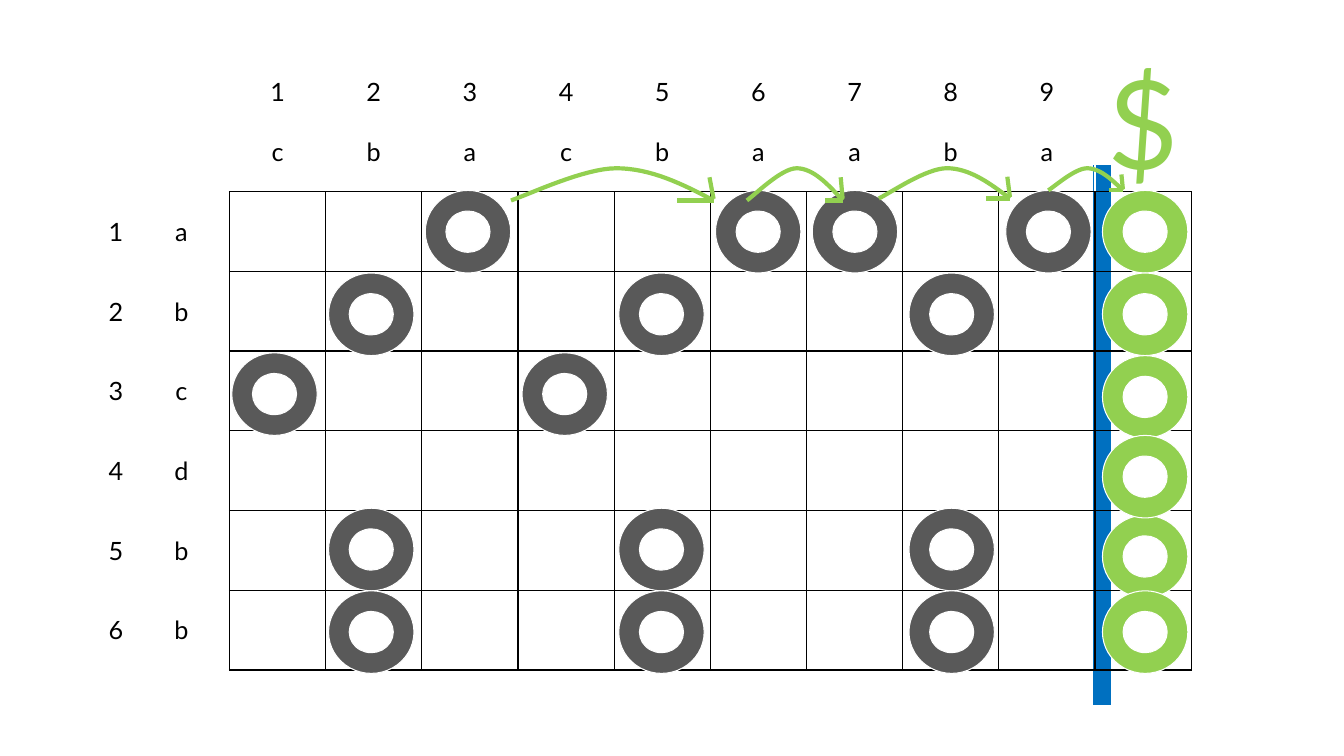
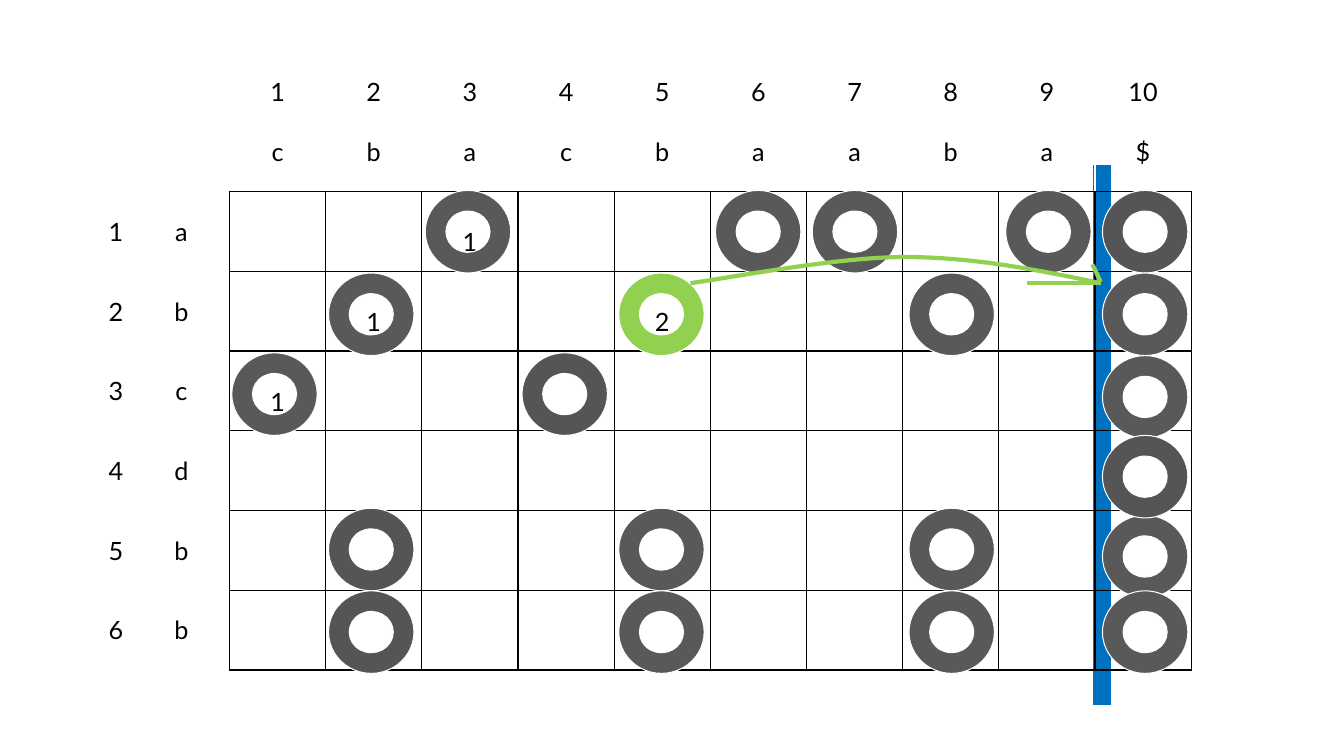
from lxml import etree
from pptx import Presentation
from pptx.dml.color import RGBColor
from pptx.enum.shapes import MSO_CONNECTOR, MSO_SHAPE
from pptx.enum.text import MSO_ANCHOR, PP_ALIGN
from pptx.oxml.ns import qn
from pptx.util import Pt

CENTER, RIGHT = PP_ALIGN.CENTER, PP_ALIGN.RIGHT
TOP, MIDDLE, BOTTOM = MSO_ANCHOR.TOP, MSO_ANCHOR.MIDDLE, MSO_ANCHOR.BOTTOM
DONUT, MINUS = MSO_SHAPE.DONUT, MSO_SHAPE.MATH_MINUS
STRAIGHT = MSO_CONNECTOR.STRAIGHT

FONT = "Lato"
COLORS = {
    "black": "000000",
    "white": "FFFFFF",
    "grey": "595959",
    "dark": "555555",
    "green": "92D050",
    "blue": "0070C0",
}

COLUMN_LETTERS = "cbacbaaba"
ROW_LETTERS = "abcdbb"
END_COLUMN = len(COLUMN_LETTERS) + 1
ROW_DRAW_ORDER = (1, 2, 3, 5, 4, 6)

SLIDES = [
    {
        "end_header": ("", ""),
        "big_end_sign": "$",
        "counts": {},
        "ring_colors": {(row, END_COLUMN): "green" for row in ROW_DRAW_ORDER},
        "jumps": [
            (365, 120.2, 144.7, 23),
            (627.8, 120.2, 93.6, 21.6),
            (533.5, 120.2, 68.4, 23),
            (748.8, 120.2, 53.3, 15.8),
        ],
    },
    {
        "end_header": (str(END_COLUMN), "$"),
        "big_end_sign": "",
        "counts": {(1, 3): "1", (2, 2): "1", (2, 5): "2", (3, 1): "1"},
        "ring_colors": {
            (2, 5): "green",
            **dict.fromkeys([(1, 10), (3, 4), (4, 10), (5, 2), (6, 2)], "dark"),
        },
        "jumps": [(493.2, 183.6, 293, 18.7)],
    },
]

TABLE_LEFT, TABLE_TOP = 26.6, 23
COLUMN_WIDTH, ROW_HEIGHT = 68.7, 56.95
HEADERS = 2
RING_WIDTH, RING_HEIGHT = 61, 59
RING_LEFT, RING_STEP = 165.6, 69.1
RING_TOPS = (136, 195, 252, 309, 363, 422)
END_RING_TOPS = (136, 195, 254, 311, 368, 422)

JUMP_CURVES = [
    [(1, 1), (0.85, 0.5), (0.69, 0), (0.52, 0)],
    [(0.52, 0), (0.36, 0), (0.09, 0.81), (0, 1)],
]
JUMP_HEAD = [((0.98, 0.28), (1, 0.95)), ((1, 1), (0.82, 1))]
CURVE_STEPS = 16


def color(name):
    return RGBColor.from_string(COLORS[name])


def format_text(paragraph, size, color_name, align):
    paragraph.alignment = align
    for run in paragraph.runs:
        run.font.name = FONT
        run.font.size = Pt(size)
        run.font.color.rgb = color(color_name)


def set_borders(cell, row, column):
    in_grid = row >= HEADERS and column >= HEADERS
    edges = {side: "black" if in_grid else "white" for side in "LRTB"}
    if row == HEADERS - 1 and column >= HEADERS:
        edges["B"] = "black"
    if column == HEADERS - 1 and row >= HEADERS:
        edges["R"] = "black"
    properties = cell._tc.get_or_add_tcPr()
    for side, name in edges.items():
        edge = etree.SubElement(properties, qn(f"a:ln{side}"), w=str(Pt(1)))
        fill = etree.SubElement(edge, qn("a:solidFill"))
        etree.SubElement(fill, qn("a:srgbClr"), val=COLORS[name])


def cell_texts(content):
    texts = {}
    headers = [(str(i), letter) for i, letter in enumerate(COLUMN_LETTERS, 1)]
    for column, (number, letter) in enumerate(headers + [content["end_header"]], HEADERS):
        texts[0, column] = (number, CENTER, BOTTOM)
        texts[1, column] = (letter, CENTER, MIDDLE)
    for row, letter in enumerate(ROW_LETTERS, HEADERS):
        texts[row, 0] = (str(row - HEADERS + 1), RIGHT, MIDDLE)
        texts[row, 1] = (letter, CENTER, MIDDLE)
    for (row, column), count in content["counts"].items():
        texts[row + HEADERS - 1, column + HEADERS - 1] = (count, CENTER, TOP)
    return texts


def add_matrix(slide, content):
    rows, columns = len(ROW_LETTERS) + HEADERS, END_COLUMN + HEADERS
    table = slide.shapes.add_table(
        rows, columns, Pt(TABLE_LEFT), Pt(TABLE_TOP),
        Pt(COLUMN_WIDTH * columns), Pt(ROW_HEIGHT * rows)).table
    table.first_row = table.horz_banding = False
    for column in table.columns:
        column.width = Pt(COLUMN_WIDTH)
    for row in table.rows:
        row.height = Pt(ROW_HEIGHT)
    texts = cell_texts(content)
    for row in range(rows):
        for column in range(columns):
            cell = table.cell(row, column)
            set_borders(cell, row, column)
            cell.fill.background()
            text, align, anchor = texts.get((row, column), ("", CENTER, MIDDLE))
            if text:
                cell.text = text
                cell.vertical_anchor = anchor
                paragraph = cell.text_frame.paragraphs[0]
                format_text(paragraph, 18, "black", align)
                if anchor == TOP:
                    paragraph.line_spacing = 2.0


def add_filled(slide, kind, left, top, width, height, color_name):
    shape = slide.shapes.add_shape(kind, Pt(left), Pt(top), Pt(width), Pt(height))
    shape.shadow.inherit = False
    shape.fill.solid()
    shape.fill.fore_color.rgb = color(color_name)
    return shape


def add_end_bar(slide):
    bar = add_filled(slide, MINUS, 524.9, 283.7, 524.2, 54, "blue")
    bar.line.fill.background()
    bar.rotation = 270


def add_rings(slide, ring_colors):
    for row in ROW_DRAW_ORDER:
        for column, letter in enumerate(COLUMN_LETTERS + "$", 1):
            if letter not in (ROW_LETTERS[row - 1], "$"):
                continue
            tops = END_RING_TOPS if column == END_COLUMN else RING_TOPS
            ring = add_filled(
                slide, DONUT, RING_LEFT + RING_STEP * (column - 1), tops[row - 1],
                RING_WIDTH, RING_HEIGHT, ring_colors.get((row, column), "grey"))
            ring.line.color.rgb = color("white")
            ring.line.width = Pt(0.75)


def add_big_sign(slide, sign):
    box = slide.shapes.add_textbox(Pt(784), Pt(29.5), Pt(63.4), Pt(113.8))
    box.text_frame.word_wrap = False
    box.text_frame.text = sign
    format_text(box.text_frame.paragraphs[0], 88, "green", CENTER)


def bezier(points, t):
    weights = ((1 - t) ** 3, 3 * t * (1 - t) ** 2, 3 * t * t * (1 - t), t ** 3)
    return tuple(sum(w * p[axis] for w, p in zip(weights, points)) for axis in (0, 1))


def add_jump(slide, left, top, width, height):
    def place(point):
        return Pt(left + width * point[0]), Pt(top + height * point[1])

    def draw_line(shape):
        shape.line.color.rgb = color("green")
        shape.line.width = Pt(3)

    jump = slide.shapes.add_group_shape()
    arc_points = [place(bezier(curve, step / CURVE_STEPS))
                  for curve in JUMP_CURVES for step in range(1, CURVE_STEPS + 1)]
    builder = jump.shapes.build_freeform(*place((1, 1)))
    builder.add_line_segments(arc_points, close=False)
    arc = builder.convert_to_shape()
    arc.shadow.inherit = False
    arc.fill.background()
    draw_line(arc)
    for start, end in JUMP_HEAD:
        barb = jump.shapes.add_connector(STRAIGHT, *place(start), *place(end))
        draw_line(barb)
        etree.SubElement(barb._element.spPr, qn("a:effectLst"))


def main():
    deck = Presentation()
    deck.slide_width, deck.slide_height = Pt(960), Pt(540)
    for content in SLIDES:
        slide = deck.slides.add_slide(deck.slide_layouts[6])
        add_end_bar(slide)
        add_matrix(slide, content)
        add_rings(slide, content["ring_colors"])
        if content["big_end_sign"]:
            add_big_sign(slide, content["big_end_sign"])
        for jump in content["jumps"]:
            add_jump(slide, *jump)
    deck.save("out.pptx")


if __name__ == "__main__":
    main()
